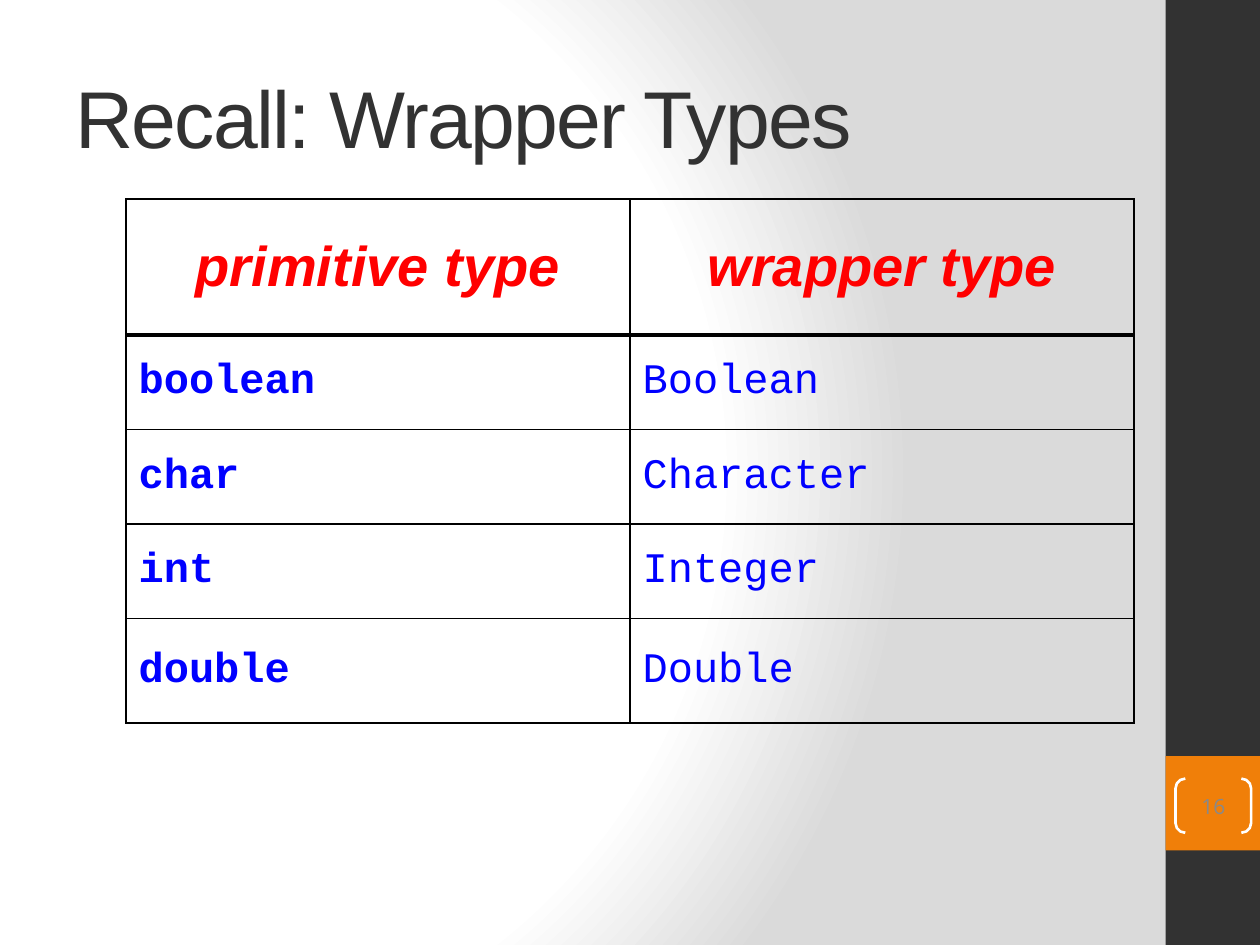
from pptx import Presentation
from pptx.dml.color import RGBColor
from pptx.enum.shapes import MSO_SHAPE
from pptx.enum.text import MSO_ANCHOR, MSO_AUTO_SIZE, PP_ALIGN
from pptx.oxml import parse_xml
from pptx.oxml.ns import qn
from pptx.util import Inches, Pt

RECT, BRACKETS = MSO_SHAPE.RECTANGLE, MSO_SHAPE.DOUBLE_BRACKET
MIDDLE, NO_FIT = MSO_ANCHOR.MIDDLE, MSO_AUTO_SIZE.NONE
LEFT, CENTER = PP_ALIGN.LEFT, PP_ALIGN.CENTER

DARK = RGBColor(0x32, 0x32, 0x32)
ORANGE = RGBColor(0xF0, 0x7F, 0x09)
WHITE = RGBColor(0xFF, 0xFF, 0xFF)
SILVER = RGBColor(0xDA, 0xDA, 0xDA)
GRAY = RGBColor(0x89, 0x89, 0x89)
RED = RGBColor(0xFF, 0, 0)
BLUE = RGBColor(0, 0, 0xFF)
BLACK = RGBColor(0, 0, 0)

SANS, MONO, NUMBER = "Arial", "Courier New", "Open Sans"
NS = 'xmlns:a="http://schemas.openxmlformats.org/drawingml/2006/main"'

HEADERS = ("primitive type", "wrapper type")
TYPES = (("boolean", "Boolean"), ("char", "Character"),
         ("int", "Integer"), ("double", "Double"))
ROW_HEIGHTS = (1.08, 0.75, 0.75, 0.75, 0.83)


class SlideBuilder:
    """Holds the current slide and draws each kind of element on it."""

    def __init__(self, prs):
        """Add a title-only slide."""
        self.s = prs.slides.add_slide(prs.slide_layouts[5])

    def background(self, stops, left, top, right, bottom):
        """Fill the background with a circular gradient."""
        self.s.background.fill.gradient()
        old = next(self.s.element.iter(qn("a:gradFill")))
        marks = "".join(f'<a:gs pos="{pos * 1000}"><a:srgbClr val="{color}"/></a:gs>'
                        for pos, color in stops)
        old.getparent().replace(old, parse_xml(
            f'<a:gradFill {NS} rotWithShape="1"><a:gsLst>{marks}</a:gsLst>'
            f'<a:path path="circle"><a:fillToRect l="{left * 1000}" t="{top * 1000}" '
            f'r="{right * 1000}" b="{bottom * 1000}"/></a:path></a:gradFill>'))

    def text(self, tf, text, size, font, color, align=LEFT, bold=False, italic=False):
        """Write one formatted run into a text frame and return it."""
        p = tf.paragraphs[0]
        p.alignment = align
        r = p.add_run()
        r.text = text
        f = r.font
        f.size, f.name, f.bold, f.italic = Pt(size), font, bold, italic
        f.color.rgb = color
        return r

    def title(self, text, left, top, width, height):
        """Place and format the title placeholder."""
        sp = self.s.shapes.title
        sp.left, sp.top = Inches(left), Inches(top)
        sp.width, sp.height = Inches(width), Inches(height)
        tf = sp.text_frame
        tf.vertical_anchor, tf.auto_size = MIDDLE, NO_FIT
        r = self.text(tf, text, 46, SANS, DARK)
        r.font._element.set("spc", "-100")

    def shape(self, kind, left, top, width, height, fill=None, line=None):
        """Add a preset shape with an optional fill and outline."""
        sp = self.s.shapes.add_shape(kind, Inches(left), Inches(top),
                                     Inches(width), Inches(height))
        sp.shadow.inherit = False
        if fill is None:
            sp.fill.background()
        else:
            sp.fill.solid()
            sp.fill.fore_color.rgb = fill
        if line is None:
            sp.line.fill.background()
        else:
            sp.line.color.rgb = line
            sp.line.width = Pt(1.5)
        return sp

    def page_number(self, text, left, top, width, height):
        """Add the page number between brackets."""
        sp = self.shape(BRACKETS, left, top, width, height, line=WHITE)
        sp.adjustments[0] = 0.18
        tf = sp.text_frame
        tf.margin_left = tf.margin_right = tf.margin_top = tf.margin_bottom = 0
        tf.vertical_anchor = MIDDLE
        self.text(tf, text, 12, NUMBER, GRAY, CENTER)

    def borders(self, cell, top, bottom):
        """Draw the four cell borders; the widths are in points."""
        tc_pr = cell._tc.get_or_add_tcPr()
        for side, width in (("L", 1), ("R", 1), ("T", top), ("B", bottom)):
            tc_pr.append(parse_xml(
                f'<a:ln{side} {NS} w="{Pt(width)}"><a:solidFill>'
                f'<a:srgbClr val="{BLACK}"/></a:solidFill></a:ln{side}>'))

    def table(self, rows, left, top, col_width, heights):
        """Add a ruled table with a header row."""
        cols = len(rows[0])
        tbl = self.s.shapes.add_table(
            len(rows), cols, Inches(left), Inches(top),
            Inches(col_width * cols), Inches(sum(heights))).table
        tbl.first_row = tbl.horz_banding = False
        for col in tbl.columns:
            col.width = Inches(col_width)
        for i, (row, height) in enumerate(zip(rows, heights)):
            tbl.rows[i].height = Inches(height)
            for j, text in enumerate(row):
                cell = tbl.cell(i, j)
                cell.vertical_anchor = MIDDLE
                self.borders(cell, 3 if i == 1 else 1, 3 if i == 0 else 1)
                cell.fill.background()
                if i == 0:
                    self.text(cell.text_frame, text, 32, SANS, RED, CENTER, True, True)
                else:
                    self.text(cell.text_frame, text, 24, MONO, BLUE, bold=j == 0)


def main():
    """Build and save the slide."""
    prs = Presentation()
    prs.slide_width, prs.slide_height = Inches(10), Inches(7.5)
    b = SlideBuilder(prs)
    b.background(((0, WHITE), (75, WHITE), (100, SILVER)), 20, 50, 100, 50)
    b.shape(RECT, 9.25, 0, 0.75, 7.5, DARK)
    b.shape(RECT, 9.25, 6, 0.75, 0.75, ORANGE)
    b.title("Recall: Wrapper Types", 0.5, 0.3, 8.33, 1.25)
    b.page_number("16", 9.33, 6.18, 0.6, 0.43)
    b.table((HEADERS,) + TYPES, 1, 1.58, 4, ROW_HEIGHTS)
    prs.save("out.pptx")


main()
